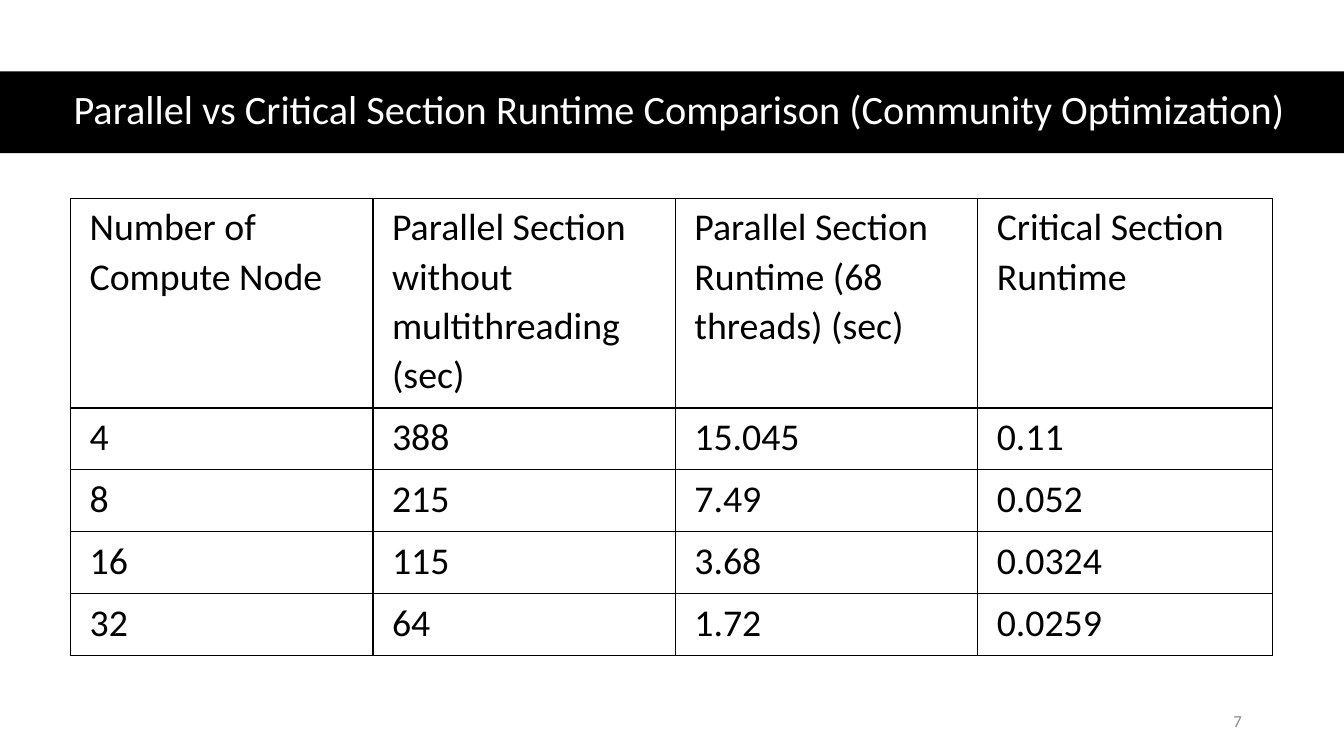
import dataclasses

import lxml.etree
import pptx
import pptx.dml.color
import pptx.enum.shapes
import pptx.enum.text
import pptx.oxml.ns
import pptx.util

Cm = pptx.util.Cm
Pt = pptx.util.Pt
Align = pptx.enum.text.PP_ALIGN
qn = pptx.oxml.ns.qn

SLIDE_WIDTH, SLIDE_HEIGHT = 33.87, 19.05
HEADING = "Parallel vs Critical Section Runtime Comparison (Community Optimization)"
RUNTIMES = [
    ["Number of Compute Node", "Parallel Section without multithreading (sec)",
     "Parallel Section Runtime (68 threads) (sec)", "Critical Section Runtime"],
    ["4", "388", "15.045", "0.11"],
    ["8", "215", "7.49", "0.052"],
    ["16", "115", "3.68", "0.0324"],
    ["32", "64", "1.72", "0.0259"],
]


@dataclasses.dataclass(frozen=True)
class Theme:
    font: str = "Calibri"
    ink: str = "000000"
    paper: str = "FFFFFF"
    muted: str = "8C8C8C"
    heading_size: float = 28.8
    table_size: float = 27
    number_size: float = 12
    border_width: float = 1


def rgb(code):
    return pptx.dml.color.RGBColor.from_string(code)


def apply(target, values):
    for name, value in values.items():
        setattr(target, name, value)


class SlideBuilder:
    def __init__(self, slide, theme):
        self.slide = slide
        self.theme = theme

    def add_wording(self, frame, wording, size, color, **paragraph_format):
        paragraph = frame.paragraphs[0]
        apply(paragraph, paragraph_format)
        run = paragraph.add_run()
        run.text = wording
        apply(run.font, {"name": self.theme.font, "size": Pt(size)})
        run.font.color.rgb = rgb(color)

    def band(self, *box):
        bar = self.slide.shapes.add_shape(
            pptx.enum.shapes.MSO_SHAPE.RECTANGLE, *map(Cm, box))
        bar.shadow.inherit = False
        bar.fill.solid()
        bar.fill.fore_color.rgb = rgb(self.theme.ink)
        bar.line.fill.background()

    def label(self, box, wording, size, color, side_inset=0.25, **paragraph_format):
        frame = self.slide.shapes.add_textbox(*map(Cm, box)).text_frame
        apply(frame, {
            "word_wrap": True,
            "vertical_anchor": pptx.enum.text.MSO_ANCHOR.MIDDLE,
            "margin_left": Cm(side_inset),
            "margin_right": Cm(side_inset),
        })
        self.add_wording(frame, wording, size, color, **paragraph_format)

    def table(self, left, top, widths, heights, rows):
        grid = self.slide.shapes.add_table(
            len(heights), len(widths), Cm(left), Cm(top),
            Cm(sum(widths)), Cm(sum(heights))).table
        apply(grid, {"first_row": False, "horz_banding": False})
        for column, width in zip(grid.columns, widths):
            column.width = Cm(width)
        for row, height, wordings in zip(grid.rows, heights, rows):
            row.height = Cm(height)
            for cell, wording in zip(row.cells, wordings):
                self.cell(cell, wording)

    def cell(self, cell, wording):
        apply(cell, {"margin_left": Cm(0.48), "margin_top": Cm(0.08),
                     "margin_right": Cm(0.48), "margin_bottom": 0})
        self.borders(cell)
        cell.fill.solid()
        cell.fill.fore_color.rgb = rgb(self.theme.paper)
        self.add_wording(cell.text_frame, wording, self.theme.table_size,
                         self.theme.ink, line_spacing=1.07)

    def borders(self, cell):
        """Rule all four edges; must run before the cell is filled."""
        properties = cell._tc.get_or_add_tcPr()
        for edge in ("a:lnL", "a:lnR", "a:lnT", "a:lnB"):
            rule = lxml.etree.SubElement(
                properties, qn(edge), w=str(Pt(self.theme.border_width)))
            paint = lxml.etree.SubElement(rule, qn("a:solidFill"))
            lxml.etree.SubElement(paint, qn("a:srgbClr"), val=self.theme.ink)


def main():
    deck = pptx.Presentation()
    apply(deck, {"slide_width": Cm(SLIDE_WIDTH), "slide_height": Cm(SLIDE_HEIGHT)})
    theme = Theme()
    builder = SlideBuilder(deck.slides.add_slide(deck.slide_layouts[6]), theme)

    builder.band(0, 1.8, SLIDE_WIDTH, 2.06)
    builder.label((1.55, 1.78, 31.14, 2.06), HEADING, theme.heading_size,
                  theme.paper, side_inset=0, alignment=Align.CENTER,
                  line_spacing=0.9)
    builder.label((23.93, 17.65, 7.62, 1.02), "7", theme.number_size,
                  theme.muted, alignment=Align.RIGHT, space_after=Pt(6))
    builder.table(1.78, 5, [7.62] * 3 + [7.42], [5.28] + [1.56] * 4, RUNTIMES)

    deck.save("out.pptx")


if __name__ == "__main__":
    main()
